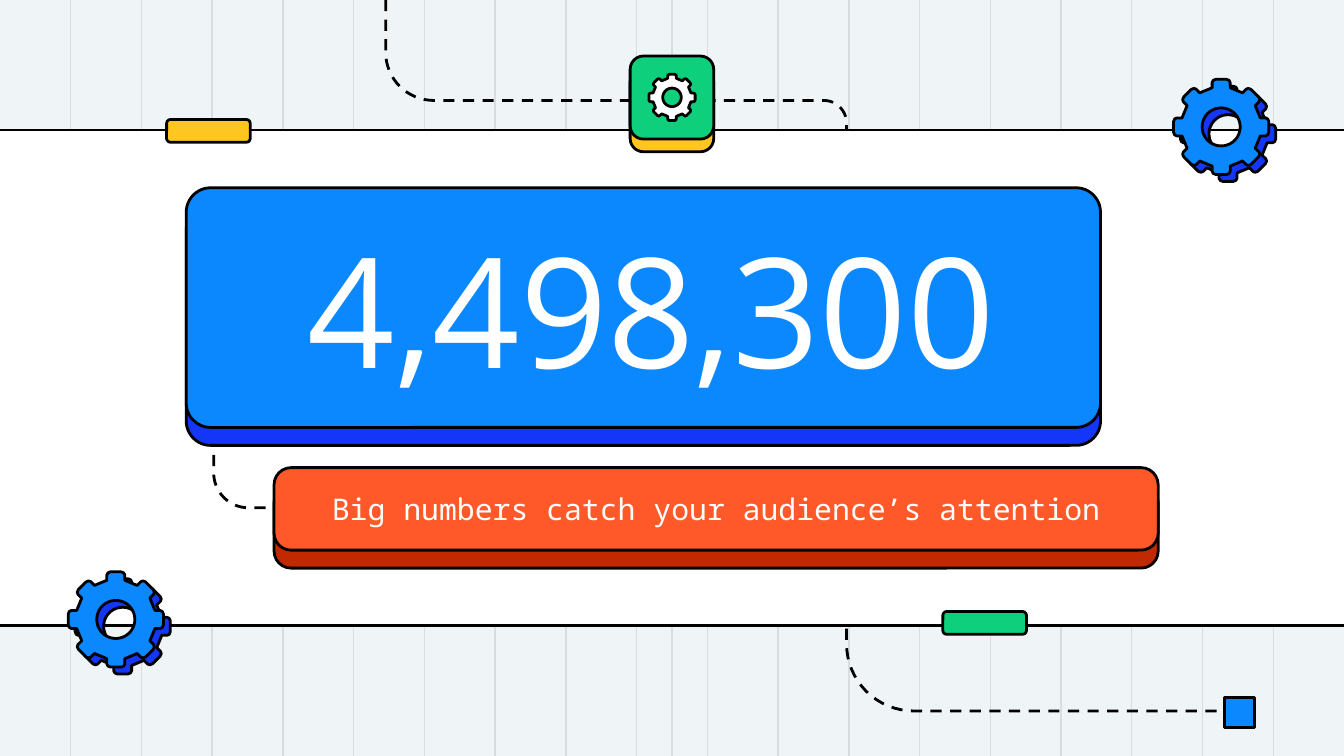
from math import cos, sin, pi, hypot
from lxml.etree import SubElement
from pptx import Presentation
from pptx.dml.color import RGBColor
from pptx.enum.dml import MSO_LINE
from pptx.enum.shapes import MSO_CONNECTOR, MSO_SHAPE
from pptx.enum.text import MSO_ANCHOR, MSO_AUTO_SIZE, PP_ALIGN
from pptx.oxml.ns import qn
from pptx.util import Cm, Pt

WIDE, HIGH = 25.4, 14.29
HUES = {
    "paper": "EFF4F6", "grid": "D9DDDF", "ink": "000000", "white": "FFFFFF",
    "blue": "0C88FF", "navy": "1336F8", "gold": "FFC620", "green": "0DCF7C",
    "coral": "FF592A", "rust": "C12900",
}
TOOTH = [(-.17, .74), (-.17, .84), (-.15, .88), (-.1, .9),
         (.1, .9), (.15, .88), (.17, .84), (.17, .74)]


class Board:
    """Hold the slide and its style, and draw each kind of element."""

    def __init__(self, deck):
        self.slide = deck.slides.add_slide(deck.slide_layouts[0])
        self.shapes = self.slide.shapes
        back = self.slide.background.fill
        back.solid()
        back.fore_color.rgb = self.hue("paper")

    def hue(self, name):
        return RGBColor.from_string(HUES[name])

    def style(self, shape, fill=None):
        shape.shadow.inherit = False
        shape.line.color.rgb = self.hue("ink")
        shape.line.width = Pt(1.5)
        if fill:
            shape.fill.solid()
            shape.fill.fore_color.rgb = self.hue(fill)
        else:
            shape.fill.background()

    def rule(self, x):
        line = self.shapes.add_connector(
            MSO_CONNECTOR.STRAIGHT, Cm(x), 0, Cm(x), Cm(HIGH))
        line.line.color.rgb = self.hue("grid")
        line.line.width = Pt(0.75)
        SubElement(line._element.spPr, qn("a:effectLst"))

    def box(self, x, y, w, h, fill, round=0):
        kind = MSO_SHAPE.ROUNDED_RECTANGLE if round else MSO_SHAPE.RECTANGLE
        shape = self.shapes.add_shape(kind, Cm(x), Cm(y), Cm(w), Cm(h))
        if round:
            shape.adjustments[0] = round
        self.style(shape, fill)

    def card(self, x, y, w, h, face, edge, depth, round):
        self.box(x, y + depth, w, h, edge, round)
        self.box(x, y, w, h, face, round)

    def outline(self, loops, fill=None, close=True):
        loops = [[(Cm(x), Cm(y)) for x, y in loop] for loop in loops]
        pen = self.shapes.build_freeform(*loops[0][0])
        pen.add_line_segments(loops[0][1:], close=close)
        for loop in loops[1:]:
            pen.move_to(*loop[0])
            pen.add_line_segments(loop[1:], close=close)
        shape = pen.convert_to_shape()
        self.style(shape, fill)
        return shape

    def trace(self, start, bend, end, r):
        def unit(point):
            dx, dy = point[0] - bend[0], point[1] - bend[1]
            size = hypot(dx, dy)
            return dx / size, dy / size

        u, v = unit(start), unit(end)
        turns = [pi / 2 * i / 16 for i in range(17)]
        curve = [tuple(b + r * (p * (1 - sin(t)) + q * (1 - cos(t)))
                       for b, p, q in zip(bend, u, v)) for t in turns]
        shape = self.outline([[start, *curve, end]], close=False)
        shape.line.dash_style = MSO_LINE.DASH

    def gear(self, x, y, fill, scale=1):
        teeth = [(x + scale * (a * cos(t) - b * sin(t)),
                  y + scale * (a * sin(t) + b * cos(t)))
                 for t in (pi / 4 * i for i in range(8))
                 for a, b in reversed(TOOTH)]
        hole = [(x + scale * .36 * cos(t), y + scale * .36 * sin(t))
                for t in (2 * pi * i / 48 for i in range(48))]
        self.outline([teeth, hole], fill)

    def text(self, index, words, place, anchor, font, after=0):
        shape = self.slide.placeholders[index]
        self.shapes._spTree.append(shape._element)
        for name, size in zip(("left", "top", "width", "height"), place):
            setattr(shape, name, Cm(size))
        frame = shape.text_frame
        frame.text = words
        sides = {f"margin_{s}": Cm(.25) for s in ("left", "top", "right", "bottom")}
        form = {"word_wrap": True, "auto_size": MSO_AUTO_SIZE.NONE,
                "vertical_anchor": anchor, **sides}
        for name, value in form.items():
            setattr(frame, name, value)
        para = frame.paragraphs[0]
        form = {"alignment": PP_ALIGN.CENTER, "line_spacing": 1.0,
                "space_before": Pt(0), "space_after": Pt(after)}
        for name, value in form.items():
            setattr(para, name, value)
        run = para.runs[0].font
        for name, value in font.items():
            setattr(run, name, value)
        run.color.rgb = self.hue("white")


def main():
    deck = Presentation()
    deck.slide_width, deck.slide_height = Cm(WIDE), Cm(HIGH)
    board = Board(deck)

    for i in range(1, 19):
        board.rule(WIDE * i / 19)
    board.rule(WIDE / 2)

    board.trace((16, 10.77), (16, 13.44), (23.42, 13.44), 1.27)
    board.trace((7.29, 0), (7.29, 1.9), (12.57, 1.9), .91)
    board.trace((12.57, 1.9), (16, 1.9), (16, 2.46), .43)
    board.box(-.1, 2.46, 25.6, 9.36, "white")
    board.box(3.15, 2.26, 1.58, .43, "gold", .167)
    board.box(17.82, 11.56, 1.58, .43, "green", .167)
    board.box(23.14, 13.18, .57, .57, "blue")

    board.card(11.91, 1.06, 1.58, 1.57, "green", "gold", .24, .16)
    board.gear(12.7, 1.84, "white", .485)
    for x, y in ((2.19, 11.71), (23.08, 2.4)):
        board.gear(x + .13, y + .13, "navy")
        board.gear(x, y, "blue")

    board.trace((4.04, 8.23), (4.04, 9.6), (7.87, 9.6), .66)
    board.card(5.18, 8.84, 16.71, 1.56, "coral", "rust", .34, .208)
    board.card(3.52, 3.55, 17.28, 4.53, "blue", "navy", .34, .102)

    board.text(0, "4,498,300", (4.45, 3.89, 15.72, 3.84), MSO_ANCHOR.MIDDLE,
               {"name": "Open Sans", "size": Pt(82), "bold": False})
    board.text(1, "Big numbers catch your audience’s attention",
               (5.51, 9.02, 16.05, 1.17), MSO_ANCHOR.TOP,
               {"name": "Noto Sans Mono", "size": Pt(16)}, 12)
    deck.save("out.pptx")


if __name__ == "__main__":
    main()
